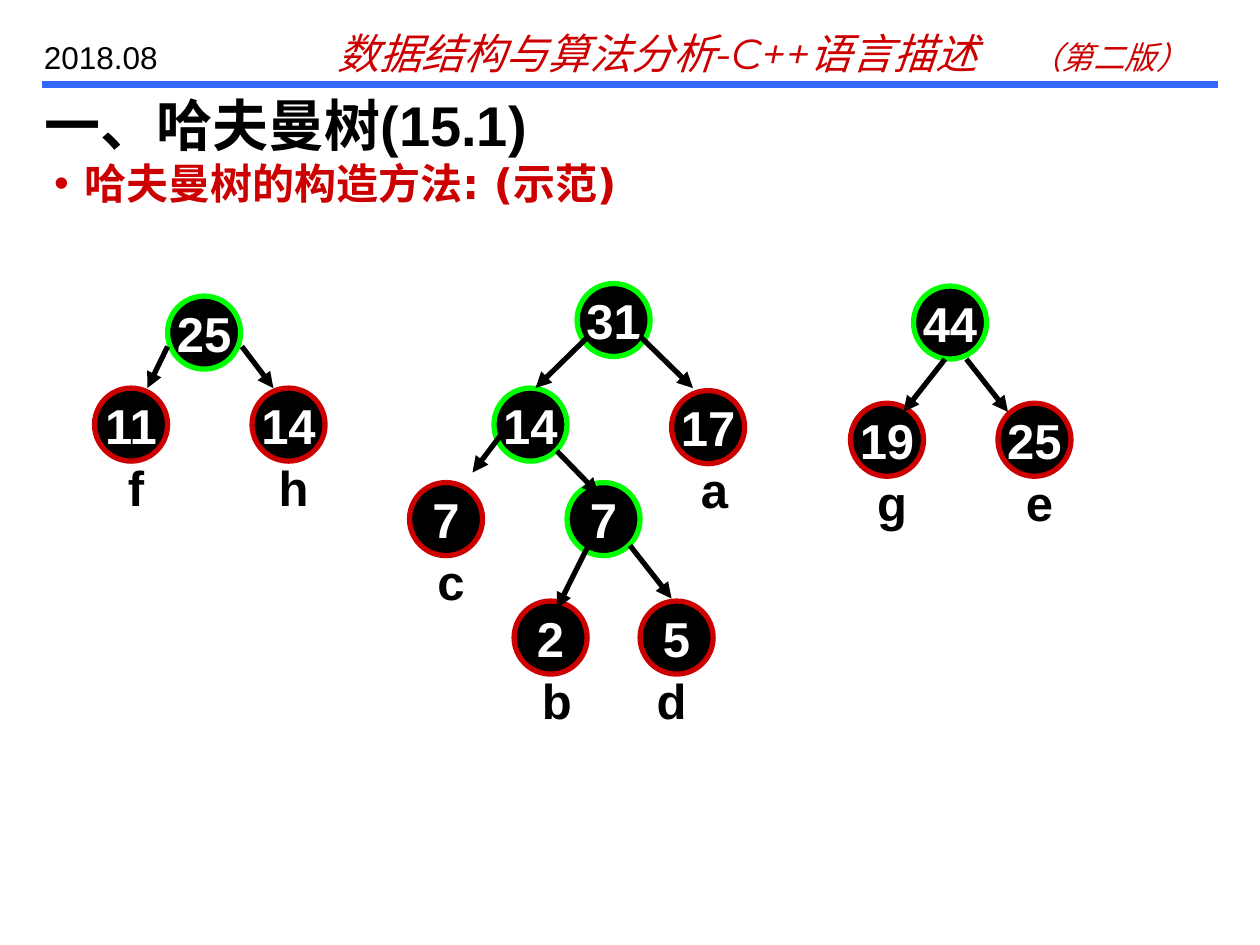
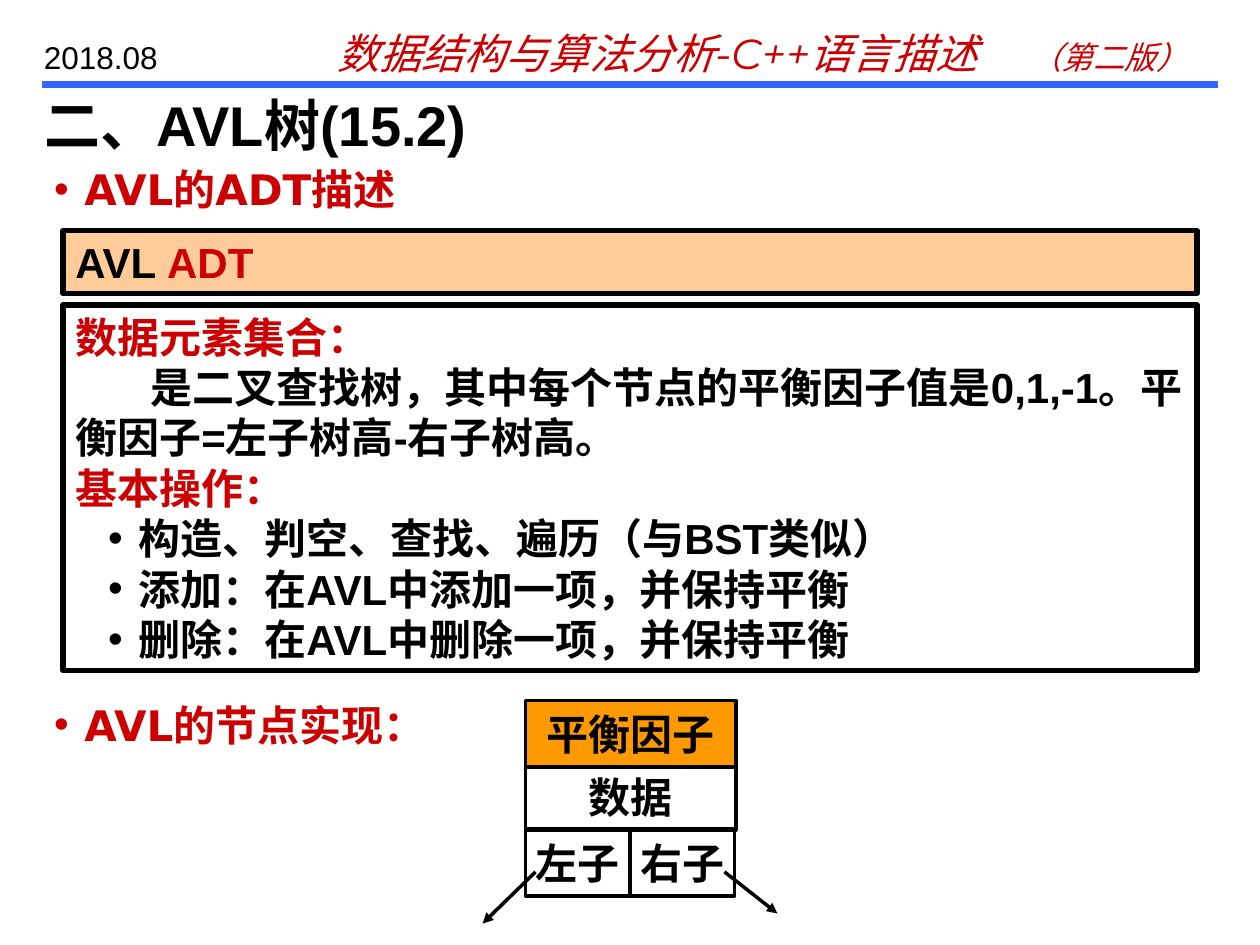
from dataclasses import dataclass

from lxml.etree import SubElement
from pptx import Presentation
from pptx.dml.color import RGBColor
from pptx.enum.shapes import MSO_CONNECTOR, MSO_SHAPE
from pptx.enum.text import MSO_ANCHOR as Anchor, MSO_AUTO_SIZE as AutoSize, PP_ALIGN as Align
from pptx.oxml.ns import qn
from pptx.util import Inches, Pt


@dataclass(frozen=True)
class Theme:
    black: str = "000000"
    white: str = "FFFFFF"
    red: str = "CC0000"
    green: str = "00FF00"
    blue: str = "3366FF"
    peach: str = "FFCC99"
    orange: str = "FF9900"
    sans: str = "Arial"
    bullet_face: str = "DejaVu Sans"
    header_face: str = "Montserrat"
    title: int = 32
    node: int = 28
    body: int = 24
    small: int = 18


T = Theme()

COURSE = "数据结构与算法分析-C++语言描述"
EDITION = "（第二版）"
DATE = "2018.08"

HUFFMAN_TITLE = "一、哈夫曼树(15.1)"
HUFFMAN_POINTS = [("哈夫曼树的构造方法: (示范)", 1.2)]
INNER_NODES = [
    ("25", 1.33, 2.35), ("31", 4.58, 2.25), ("14", 3.92, 3.08),
    ("7", 4.5, 3.83), ("44", 7.25, 2.27),
]
LEAVES = [
    ("11", 0.75, 3.08, "f", 0.83), ("14", 2, 3.08, "h", 2.08),
    ("7", 3.25, 3.83, "c", 3.33), ("2", 4.08, 4.77, "b", 4.17),
    ("5", 5.08, 4.77, "d", 5.08), ("17", 5.33, 3.1, "a", 5.42),
    ("19", 6.75, 3.2, "g", 6.83), ("25", 7.92, 3.2, "e", 8),
]
BRANCHES = [
    (1.33, 2.75, 1.17, 3.08), (1.92, 2.75, 2.17, 3.08),
    (4.67, 2.67, 4.25, 3.08), (5.08, 2.67, 5.5, 3.08),
    (4, 3.42, 3.75, 3.75), (4.42, 3.58, 4.75, 3.92),
    (4.67, 4.33, 4.42, 4.83), (5, 4.33, 5.33, 4.75),
    (7.5, 2.85, 7.17, 3.27), (7.67, 2.85, 8, 3.27),
]

AVL_TITLE = "二、AVL树(15.2)"
AVL_POINTS = [("AVL的ADT描述", 1.25), ("AVL的节点实现：", 5.5)]
ADT_NAME = [("AVL ", T.black), ("ADT", T.red)]
HEADING = dict(color=T.red)
DETAIL = dict(first_line=0.6)
OPERATION = dict(bullet=True, margin=0.5)
ADT_LINES = [
    ("数据元素集合：", HEADING),
    ("是二叉查找树，其中每个节点的平衡因子值是0,1,-1。平衡因子=左子树高-右子树高。", DETAIL),
    ("基本操作：", HEADING),
    ("构造、判空、查找、遍历（与BST类似）", OPERATION),
    ("添加：在AVL中添加一项，并保持平衡", OPERATION),
    ("删除：在AVL中删除一项，并保持平衡", OPERATION),
]
NODE_FIELDS = [
    ("数据", 4.17, 6.06, 1.67, None), ("左子", 4.17, 6.58, 0.83, None),
    ("右子", 5, 6.58, 0.83, None), ("平衡因子", 4.17, 5.56, 1.67, T.orange),
]
CHILD_LINKS = [(4.25, 6.92, 3.83, 7.33), (5.75, 6.92, 6.17, 7.25)]

NODE_SIZE = 0.58
FIELD_HEIGHT = 0.53
HANGING = 0.24


def rgb(value):
    return RGBColor.from_string(value)


def place(shape, left, top, width, height):
    shape.left, shape.top = Inches(left), Inches(top)
    shape.width, shape.height = Inches(width), Inches(height)


def write(frame, text, size=T.body, face=T.sans, color=T.black, bold=True, italic=False,
          align=Align.LEFT, anchor=Anchor.TOP, wrap=True, bullet=False, margin=0.0,
          first_line=0.0, tab=None, more=False):
    frame.auto_size = AutoSize.NONE
    frame.word_wrap = wrap
    frame.vertical_anchor = anchor
    paragraph = frame.add_paragraph() if more else frame.paragraphs[0]
    paragraph.alignment = align
    paragraph.space_before = paragraph.space_after = Pt(0)
    properties = paragraph._p.get_or_add_pPr()
    properties.set("marL", str(Inches(margin)))
    properties.set("indent", str(Inches(-HANGING if bullet else first_line)))
    if bullet:
        tint = SubElement(properties, qn("a:buClr"))
        SubElement(tint, qn("a:srgbClr"), val=color)
        SubElement(properties, qn("a:buFont"), typeface=T.sans)
        SubElement(properties, qn("a:buChar"), char="•")
    if tab:
        stops = SubElement(properties, qn("a:tabLst"))
        SubElement(stops, qn("a:tab"), pos=str(Inches(tab)), algn="l")
    pieces = [(text, color, size)] if isinstance(text, str) else text
    for words, tone, points in pieces:
        run = paragraph.add_run()
        run.text = words
        font = run.font
        font.size, font.name, font.bold, font.italic = Pt(points), face, bold, italic
        font.color.rgb = rgb(tone)
        SubElement(run._r.get_or_add_rPr(), qn("a:ea"), typeface=face)


def add_label(slide, text, box, **style):
    label = slide.shapes.add_textbox(*map(Inches, box))
    write(label.text_frame, text, **style)


def add_box(slide, preset, box, fill, outline, weight):
    shape = slide.shapes.add_shape(preset, *map(Inches, box))
    shape.shadow.inherit = False
    if fill:
        shape.fill.solid()
        shape.fill.fore_color.rgb = rgb(fill)
    else:
        shape.fill.background()
    shape.line.color.rgb = rgb(outline)
    shape.line.width = Pt(weight)
    return shape.text_frame


def add_line(slide, ends, color, weight, arrow=True):
    line = slide.shapes.add_connector(MSO_CONNECTOR.STRAIGHT, *map(Inches, ends))
    line.line.color.rgb = rgb(color)
    line.line.width = Pt(weight)
    if arrow:
        SubElement(line.line._get_or_add_ln(), qn("a:tailEnd"), type="triangle")
    SubElement(line._element.spPr, qn("a:effectLst"))


def add_lesson(deck, layout, title, points):
    slide = deck.slides.add_slide(deck.slide_layouts[layout])
    add_line(slide, (0.33, 0.67, 9.67, 0.67), T.blue, 4, arrow=False)
    add_label(slide, [(COURSE + "\t", T.red, T.body), (EDITION, T.red, T.small)],
              (2.58, 0.17, 7, 0.5), face=T.header_face, bold=False, italic=True, tab=5.4)
    add_label(slide, DATE, (0.25, 0.25, 1.42, 0.4), size=T.small, bold=False)
    heading, *bodies = slide.placeholders
    place(heading, 0.25, 0.67, 9.75, 0.5)
    write(heading.text_frame, title, size=T.title)
    for body, (point, top) in zip(bodies, points):
        place(body, 0.33, top, 9.42, 0.5)
        write(body.text_frame, point, face=T.bullet_face, color=T.red,
              bullet=True, margin=HANGING)
    return slide


def add_node(slide, value, left, top, ring):
    frame = add_box(slide, MSO_SHAPE.OVAL, (left, top, NODE_SIZE, NODE_SIZE), T.black, ring, 3)
    write(frame, value, size=T.node, color=T.white, align=Align.CENTER,
          anchor=Anchor.MIDDLE, wrap=False)


def build_huffman(deck):
    slide = add_lesson(deck, 1, HUFFMAN_TITLE, HUFFMAN_POINTS)
    for value, left, top, symbol, symbol_left in LEAVES:
        add_node(slide, value, left, top, T.red)
        add_label(slide, symbol, (symbol_left, top + 0.5, 0.5, 0.57),
                  size=T.node, align=Align.CENTER)
    for value, left, top in INNER_NODES:
        add_node(slide, value, left, top, T.green)
    for branch in BRANCHES:
        add_line(slide, branch, T.black, 3)


def build_avl(deck):
    slide = add_lesson(deck, 3, AVL_TITLE, AVL_POINTS)
    name = add_box(slide, MSO_SHAPE.RECTANGLE, (0.5, 1.83, 9, 0.5), T.peach, T.black, 3)
    write(name, [(words, tone, T.body) for words, tone in ADT_NAME])
    details = add_box(slide, MSO_SHAPE.RECTANGLE, (0.5, 2.42, 9, 2.9), None, T.black, 3)
    for position, (line, style) in enumerate(ADT_LINES):
        write(details, line, more=position > 0, **style)
    for field, left, top, width, fill in NODE_FIELDS:
        frame = add_box(slide, MSO_SHAPE.RECTANGLE, (left, top, width, FIELD_HEIGHT),
                        fill, T.black, 2)
        write(frame, field, face=T.bullet_face, align=Align.CENTER,
              anchor=Anchor.MIDDLE, wrap=False)
    for link in CHILD_LINKS:
        add_line(slide, link, T.black, 2)


def main():
    deck = Presentation()
    deck.slide_width, deck.slide_height = Inches(10), Inches(7.5)
    build_huffman(deck)
    build_avl(deck)
    deck.save("out.pptx")


if __name__ == "__main__":
    main()
